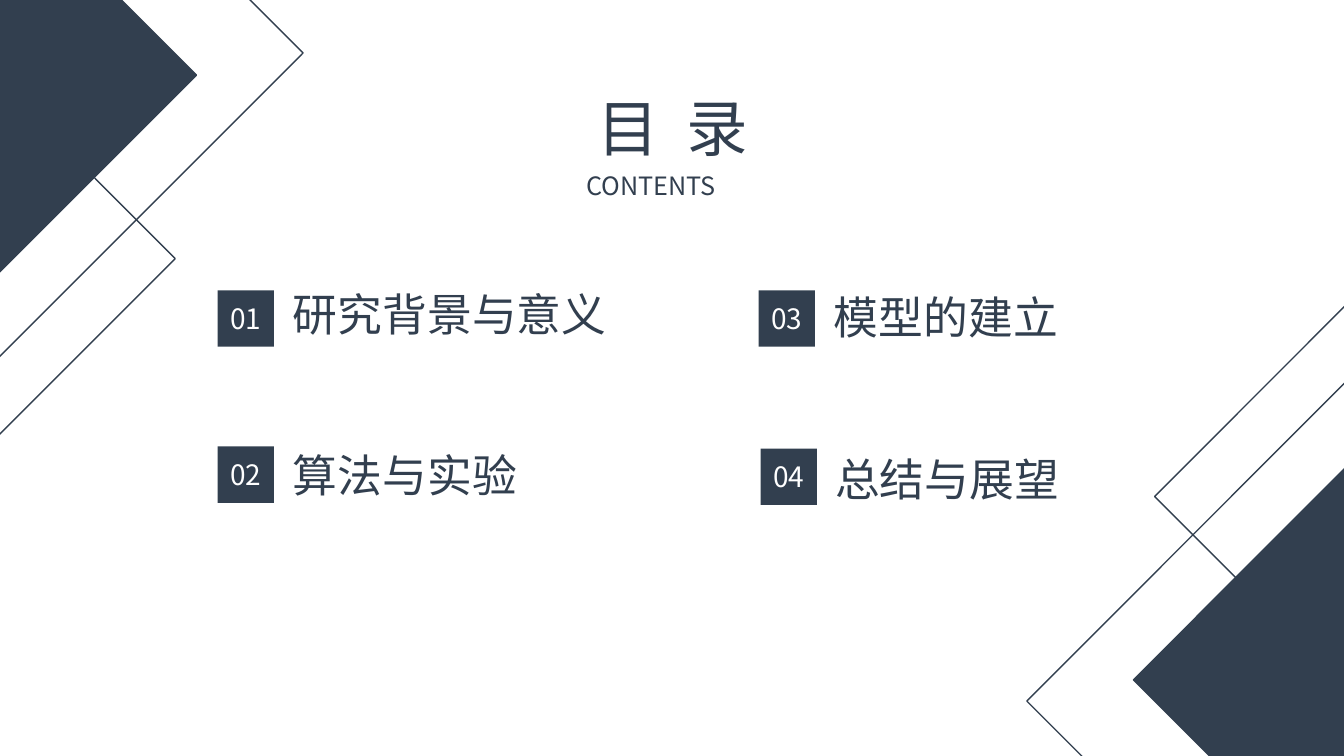
from dataclasses import dataclass

from lxml import etree
from pptx import Presentation
from pptx.dml.color import RGBColor
from pptx.enum.shapes import MSO_SHAPE
from pptx.enum.text import MSO_ANCHOR, MSO_AUTO_SIZE, PP_ALIGN
from pptx.oxml.ns import qn
from pptx.util import Inches, Pt


@dataclass(frozen=True)
class Theme:
    font: str = "Noto Sans CJK SC"
    navy: RGBColor = RGBColor(0x32, 0x3F, 0x4F)
    white: RGBColor = RGBColor(0xFF, 0xFF, 0xFF)
    title_size: int = 44
    entry_size: int = 32
    number_size: int = 20
    subtitle_size: int = 18
    outline_width: int = 1


@dataclass(frozen=True)
class Box:
    left: float
    top: float
    width: float
    height: float

    def lengths(self) -> list:
        return [Inches(value) for value in (self.left, self.top, self.width, self.height)]


@dataclass(frozen=True)
class Corner:
    box: Box
    rotation: int
    filled: bool = False


@dataclass(frozen=True)
class Entry:
    number: str
    label: str
    badge_left: float
    badge_top: float
    label_box: Box
    line_spacing: float = 1.75


THEME = Theme()
BADGE_SIDE = 0.56
BOTTOM_RIGHT, TOP_LEFT = 45, 225

CORNERS = [
    Corner(Box(11.96, 5.03, 3.43, 3.43), BOTTOM_RIGHT, filled=True),
    Corner(Box(12.2, 3.14, 3.57, 3.57), BOTTOM_RIGHT),
    Corner(Box(11.13, 4.69, 4.53, 4.53), BOTTOM_RIGHT),
    Corner(Box(-2.19, -0.97, 3.43, 3.43), TOP_LEFT, filled=True),
    Corner(Box(-2.57, 0.78, 3.57, 3.57), TOP_LEFT),
    Corner(Box(-2.46, -1.74, 4.53, 4.53), TOP_LEFT),
]
ENTRIES = [
    Entry("01", "研究背景与意义", 2.16, 2.88, Box(2.81, 2.8, 3.57, 0.64), 1.0),
    Entry("02", "算法与实验", 2.16, 4.43, Box(2.81, 3.99, 4.84, 1.04)),
    Entry("03", "模型的建立", 7.53, 2.88, Box(8.18, 2.43, 4.16, 1.04)),
    Entry("04", "总结与展望", 7.55, 4.45, Box(8.19, 4.03, 3.86, 1.04)),
]


def set_all(target, values: dict) -> None:
    for name, value in values.items():
        setattr(target, name, value)


def write(shape, text: str, size: int, color: RGBColor, frame_format: dict,
          paragraph_format: dict, letter_spacing: float = 0) -> None:
    frame = shape.text_frame
    set_all(frame, {"word_wrap": True, "auto_size": MSO_AUTO_SIZE.NONE, **frame_format})
    paragraph = frame.paragraphs[0]
    set_all(paragraph, paragraph_format)
    run = paragraph.add_run()
    run.text = text
    set_all(run.font, {"size": Pt(size), "name": THEME.font})
    run.font.color.rgb = color
    properties = run.font._element
    etree.SubElement(properties, qn("a:ea")).set("typeface", THEME.font)
    if letter_spacing:
        properties.set("spc", str(int(letter_spacing * 100)))


def add_label(slide, box: Box, text: str, size: int, line_spacing: float) -> None:
    shape = slide.shapes.add_textbox(*box.lengths())
    write(shape, text, size, THEME.navy, {"vertical_anchor": MSO_ANCHOR.TOP},
          {"line_spacing": line_spacing})


def add_corner(slide, corner: Corner) -> None:
    shape = slide.shapes.add_shape(MSO_SHAPE.RIGHT_TRIANGLE, *corner.box.lengths())
    shape.rotation = corner.rotation
    shape.shadow.inherit = False
    shape.line.color.rgb = THEME.navy
    shape.line.width = Pt(THEME.outline_width)
    if corner.filled:
        shape.fill.solid()
        shape.fill.fore_color.rgb = THEME.navy
    else:
        shape.fill.background()


def add_entry(slide, entry: Entry) -> None:
    badge_box = Box(entry.badge_left, entry.badge_top, BADGE_SIDE, BADGE_SIDE)
    badge = slide.shapes.add_shape(MSO_SHAPE.RECTANGLE, *badge_box.lengths())
    badge.shadow.inherit = False
    badge.fill.solid()
    badge.fill.fore_color.rgb = THEME.navy
    badge.line.fill.background()
    no_margins = dict.fromkeys(("margin_left", "margin_right", "margin_top", "margin_bottom"), 0)
    write(badge, entry.number, THEME.number_size, THEME.white,
          {"vertical_anchor": MSO_ANCHOR.MIDDLE, **no_margins}, {"alignment": PP_ALIGN.CENTER})
    add_label(slide, entry.label_box, entry.label, THEME.entry_size, entry.line_spacing)


def add_heading(slide) -> None:
    title = slide.shapes.title
    left, top, width, height = Box(5.37, 0.66, 2.62, 1.02).lengths()
    set_all(title, {"left": left, "top": top, "width": width, "height": height})
    write(title, "目 录", THEME.title_size, THEME.navy, {"vertical_anchor": MSO_ANCHOR.TOP},
          {"alignment": PP_ALIGN.CENTER, "line_spacing": 1.25}, letter_spacing=5)
    add_label(slide, Box(5.72, 1.64, 1.95, 0.4), "CONTENTS", THEME.subtitle_size, 1.0)


def main() -> None:
    presentation = Presentation()
    set_all(presentation, {"slide_width": Inches(13.34), "slide_height": Inches(7.5)})
    slide = presentation.slides.add_slide(presentation.slide_layouts[5])
    for corner in CORNERS:
        add_corner(slide, corner)
    for entry in ENTRIES:
        add_entry(slide, entry)
    add_heading(slide)
    presentation.save("out.pptx")


if __name__ == "__main__":
    main()
